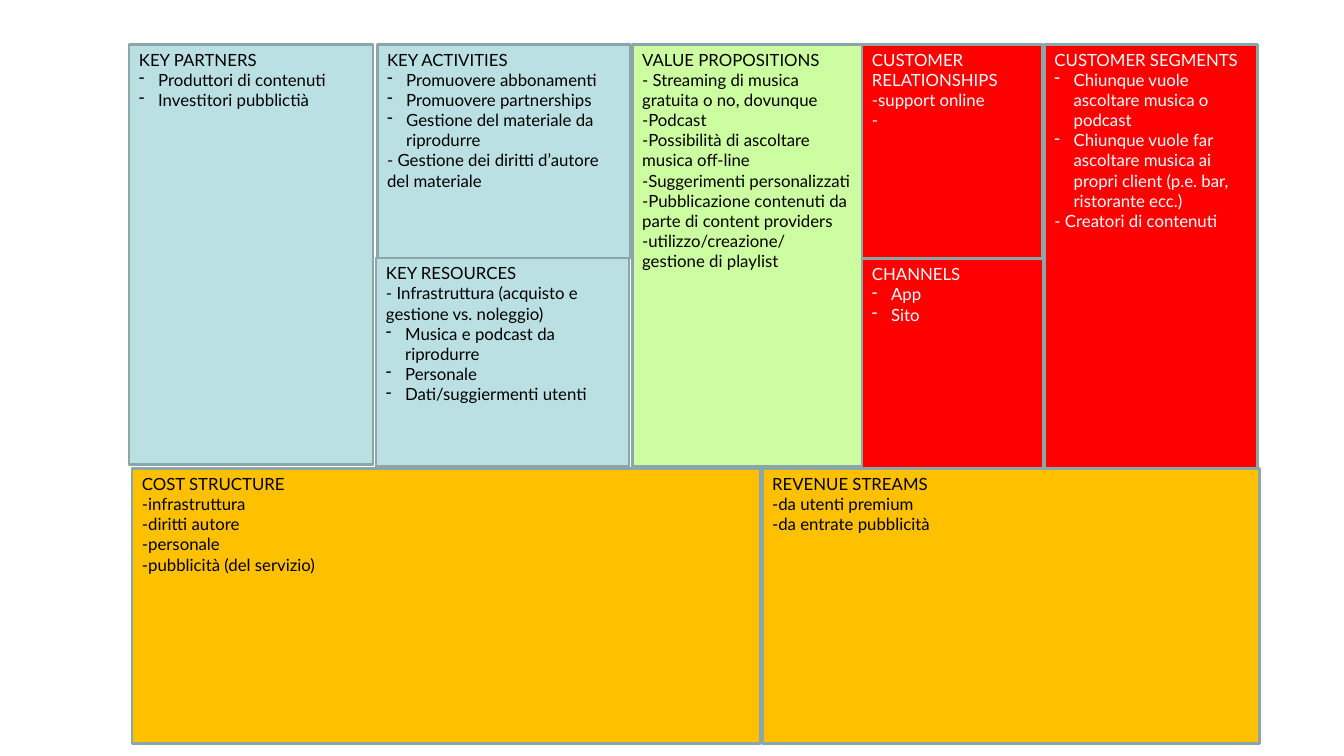
from lxml.etree import SubElement
from pptx import Presentation
from pptx.dml.color import RGBColor
from pptx.enum.shapes import MSO_SHAPE
from pptx.enum.text import MSO_ANCHOR, PP_ALIGN
from pptx.oxml.ns import qn
from pptx.util import Inches, Pt

BLUE = RGBColor(0xBB, 0xE0, 0xE3)
GREEN = RGBColor(0xCD, 0xFD, 0xA1)
RED = RGBColor(0xFF, 0x00, 0x00)
GOLD = RGBColor(0xFF, 0xC0, 0x00)
EDGE = RGBColor(0x8A, 0xA6, 0xA8)
BLACK = RGBColor(0x00, 0x00, 0x00)
WHITE = RGBColor(0xFF, 0xFF, 0xFF)
INDENT = Inches(0.19)

TOP = [
    ((0, 0, 2.42, 4.17), BLUE, BLACK,
     ["KEY PARTNERS", ["Produttori di contenuti", "Investitori pubblictià"]]),
    ((2.46, 0, 2.51, 2.12), BLUE, BLACK,
     ["KEY ACTIVITIES",
      ["Promuovere abbonamenti", "Promuovere partnerships",
       "Gestione del materiale da riprodurre"],
      "- Gestione dei diritti d’autore del materiale"]),
    ((2.45, 2.12, 2.51, 2.07), BLUE, BLACK,
     ["KEY RESOURCES",
      "- Infrastruttura (acquisto e gestione vs. noleggio)",
      ["Musica e podcast da riprodurre", "Personale",
       "Dati/suggiermenti utenti"]]),
    ((4.99, 0, 2.28, 4.19), GREEN, BLACK,
     ["VALUE PROPOSITIONS",
      "- Streaming di musica gratuita o no, dovunque",
      "-Podcast",
      "-Possibilità di ascoltare musica off-line",
      "-Suggerimenti personalizzati",
      "-Pubblicazione contenuti da parte di content providers",
      "-utilizzo/creazione/ gestione di playlist"]),
    ((7.27, 0, 1.79, 2.12), RED, WHITE,
     ["CUSTOMER RELATIONSHIPS", "-support online", "-"]),
    ((7.27, 2.13, 1.8, 2.08), RED, WHITE,
     ["CHANNELS", ["App", "Sito"]]),
    ((9.08, 0, 2.11, 4.21), RED, WHITE,
     ["CUSTOMER SEGMENTS",
      ["Chiunque vuole ascoltare musica o podcast",
       "Chiunque vuole far ascoltare musica ai propri client "
       "(p.e. bar, ristorante ecc.)"],
      "- Creatori di contenuti"]),
]
BASE = [
    ((0, 0, 6.23, 2.73), GOLD, BLACK,
     ["COST STRUCTURE", "-infrastruttura", "-diritti autore", "-personale",
      "-pubblicità (del servizio)"]),
    ((6.25, 0, 4.93, 2.73), GOLD, BLACK,
     ["REVENUE STREAMS", "-da utenti premium", "-da entrate pubblicità"]),
]


def add_text(para, text, color=BLACK, size=12, font="Lato", dash=False):
    """Fill a paragraph with formatted text, with a hanging dash if asked."""
    para.alignment = PP_ALIGN.LEFT
    if dash:
        props = para._p.get_or_add_pPr()
        props.set("marL", str(INDENT))
        props.set("indent", str(-INDENT))
        SubElement(props, qn("a:buChar"), char="-")
    run = para.add_run()
    run.text = text
    run.font.name = font
    run.font.size = Pt(size)
    run.font.color.rgb = color


def add_block(slide, box, fill, color, lines):
    """Draw one block of the canvas; a nested list becomes dashed lines."""
    block = slide.shapes.add_shape(MSO_SHAPE.RECTANGLE, *map(Inches, box))
    block.shadow.inherit = False
    block.fill.solid()
    block.fill.fore_color.rgb = fill
    block.line.color.rgb = EDGE
    block.line.width = Pt(2)
    frame = block.text_frame
    frame.word_wrap = True
    frame.vertical_anchor = MSO_ANCHOR.TOP
    para = frame.paragraphs[0]
    for line in lines:
        dash = isinstance(line, list)
        for text in line if dash else [line]:
            if para is None:
                para = frame.add_paragraph()
            add_text(para, text, color=color, dash=dash)
            para = None


def add_band(slide, left, top, blocks):
    """Draw a band of blocks whose boxes count from the given corner."""
    for (x, y, width, height), fill, color, lines in blocks:
        box = left + x, top + y, width, height
        add_block(slide, box, fill, color, lines)


def main():
    """Build and save the business model canvas."""
    deck = Presentation()
    deck.slide_width = Inches(13.33)
    deck.slide_height = Inches(7.5)
    slide = deck.slides.add_slide(deck.slide_layouts[6])
    add_band(slide, 1.28, 0.44, TOP)
    add_band(slide, 1.31, 4.65, BASE)
    deck.save("out.pptx")


if __name__ == "__main__":
    main()
